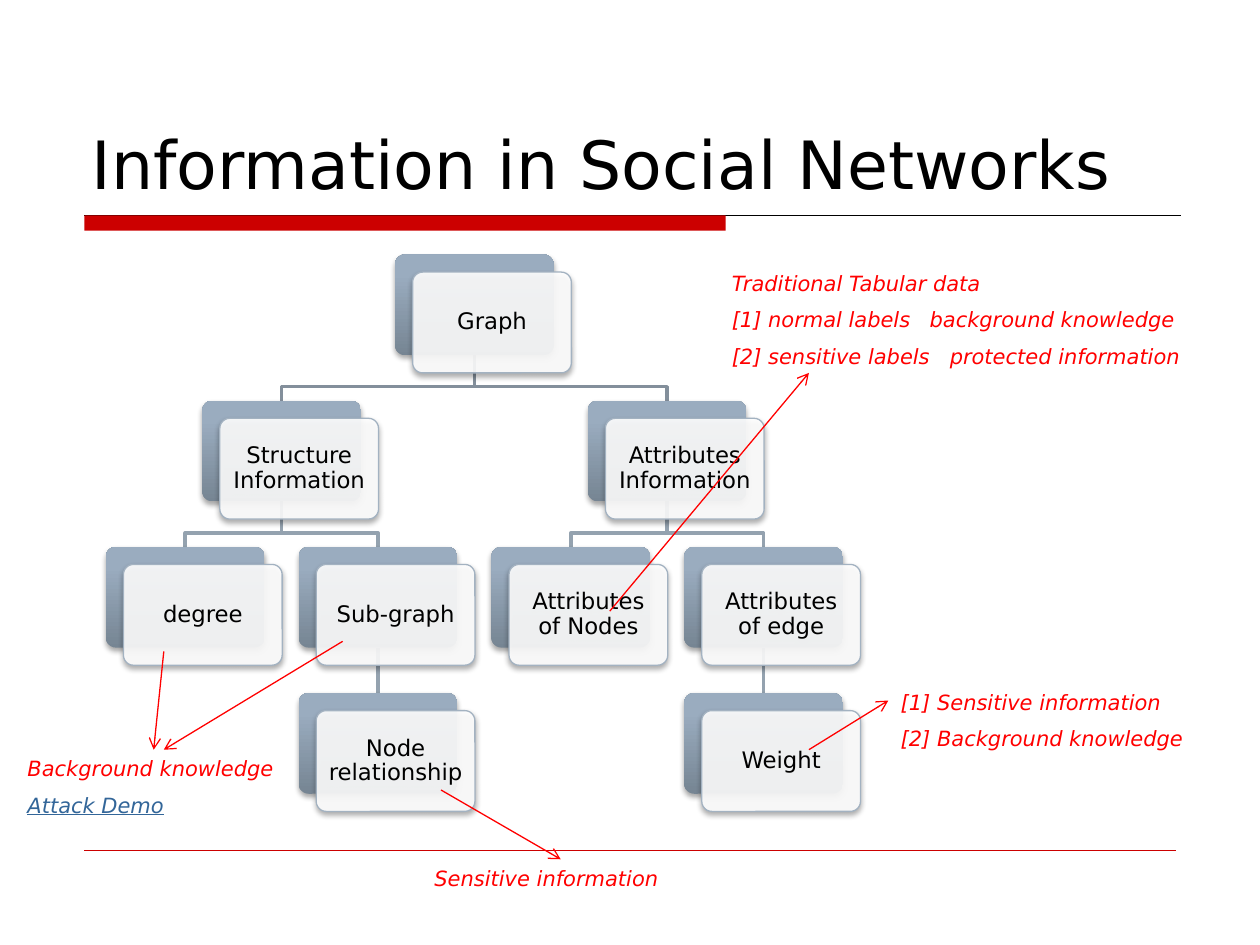
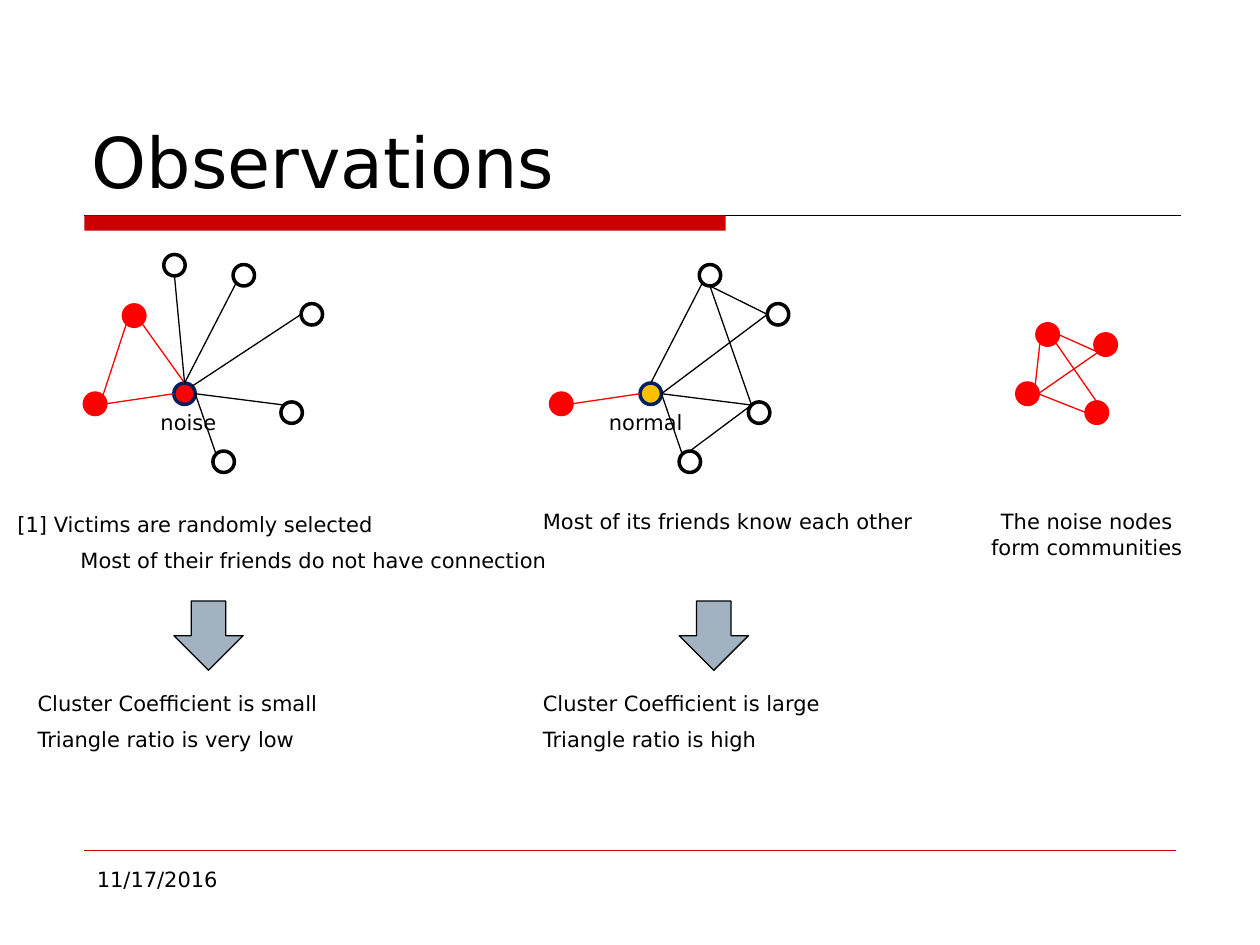
from lxml import etree
from pptx import Presentation
from pptx.dml.color import RGBColor
from pptx.enum.shapes import MSO_CONNECTOR, MSO_SHAPE
from pptx.enum.text import MSO_ANCHOR, PP_ALIGN
from pptx.oxml.ns import qn
from pptx.util import Inches, Pt

STRAIGHT = MSO_CONNECTOR.STRAIGHT
RECTANGLE = MSO_SHAPE.RECTANGLE
ROUNDED = MSO_SHAPE.ROUNDED_RECTANGLE
OVAL = MSO_SHAPE.OVAL
DOWN_ARROW = MSO_SHAPE.DOWN_ARROW
TOP, MIDDLE, BOTTOM = MSO_ANCHOR.TOP, MSO_ANCHOR.MIDDLE, MSO_ANCHOR.BOTTOM
LEFT, CENTER = PP_ALIGN.LEFT, PP_ALIGN.CENTER

FONT = "DejaVu Sans"
BLACK = RGBColor(0x00, 0x00, 0x00)
WHITE = RGBColor(0xFF, 0xFF, 0xFF)
RED = RGBColor(0xFF, 0x00, 0x00)
BAND_RED = RGBColor(0xCC, 0x00, 0x00)
LINK_BLUE = RGBColor(0x33, 0x66, 0x99)
NAVY = RGBColor(0x00, 0x20, 0x60)
GOLD = RGBColor(0xFF, 0xC0, 0x00)
STEEL = RGBColor(0xA3, 0xB2, 0xC1)
CARD_DARK = RGBColor(0x76, 0x85, 0x93)
CARD_LIGHT = RGBColor(0x9A, 0xAC, 0xBF)
BRANCH_TOP = RGBColor(0x83, 0x8F, 0x9B)
BRANCH_LOW = RGBColor(0x94, 0xA2, 0xAF)

TREE = {
    "Graph": (1.5, 0, None),
    "Structure Information": (0.5, 1, "Graph"),
    "degree": (0, 2, "Structure Information"),
    "Sub-graph": (1, 2, "Structure Information"),
    "Node relationship": (1, 3, "Sub-graph"),
    "Attributes Information": (2.5, 1, "Graph"),
    "Attributes of Nodes": (2, 2, "Attributes Information"),
    "Attributes of edge": (3, 2, "Attributes Information"),
    "Weight": (3, 3, "Attributes of edge"),
}
TREE_LEFT, TREE_TOP = 0.84, 2.02
COLUMN_STEP, ROW_STEP = 1.53, 1.16
CARD_WIDTH, CARD_HEIGHT, CARD_OFFSET = 1.26, 0.8, 0.14
BRANCH_DROP = 0.25

REMARKS = [
    (5.71, 2.1, 3.9, 0.91, [
        "Traditional Tabular data",
        {"text": "[1] normal labels\tbackground knowledge", "tab": 1.57},
        {"text": "[2] sensitive labels\tprotected information", "tab": 1.73},
    ]),
    (0.12, 5.95, 2.2, 0.61, [
        "Background knowledge",
        {"text": "Attack Demo", "color": LINK_BLUE, "underline": True},
    ]),
    (3.35, 6.82, 2.2, 0.3, ["Sensitive information"]),
    (7.05, 5.42, 2.52, 0.61, ["[1] Sensitive information", "[2] Background knowledge"]),
]
REMARK_ARROWS = [
    ((4.84, 4.85), (6.42, 2.96)),
    ((1.3, 5.17), (1.22, 5.95)),
    ((2.72, 5.09), (1.3, 5.95)),
    ((3.5, 6.27), (4.45, 6.82)),
    ((6.42, 5.95), (7.05, 5.56)),
]

NODE_SIZE = 0.17
NODE_STYLES = {
    "red": (RED, RED),
    "noise": (RED, NAVY),
    "normal": (GOLD, NAVY),
    "friend": (WHITE, BLACK),
}
SITES = {
    "N": (0, -1), "NE": (0.71, -0.71), "E": (1, 0), "SE": (0.71, 0.71),
    "S": (0, 1), "SW": (-0.71, 0.71), "W": (-1, 0), "NW": (-0.71, -0.71),
}
NETWORKS = [
    {
        "nodes": {
            "victim": (0.67, 3.12, "red"), "center": (1.38, 3.04, "noise"),
            "partner": (0.98, 2.42, "red"), "top": (1.85, 2.1, "friend"),
            "right": (2.39, 2.41, "friend"), "lower": (2.23, 3.19, "friend"),
            "bottom": (1.69, 3.58, "friend"), "upper": (1.3, 2.02, "friend"),
        },
        "edges": [
            ("center", "N", "partner", "SE", RED), ("partner", "SW", "victim", "NE", RED),
            ("victim", "E", "center", "W", RED), ("center", "N", "top", "SW", BLACK),
            ("center", "NE", "right", "W", BLACK), ("center", "E", "lower", "NW", BLACK),
            ("center", "E", "bottom", "NW", BLACK), ("center", "N", "upper", "S", BLACK),
        ],
    },
    {
        "nodes": {
            "victim": (4.37, 3.12, "red"), "center": (5.08, 3.04, "normal"),
            "top": (5.55, 2.1, "friend"), "right": (6.09, 2.41, "friend"),
            "lower": (5.94, 3.19, "friend"), "bottom": (5.39, 3.58, "friend"),
        },
        "edges": [
            ("victim", "E", "center", "W", RED), ("center", "N", "top", "SW", BLACK),
            ("center", "E", "right", "W", BLACK), ("center", "E", "lower", "NW", BLACK),
            ("center", "E", "bottom", "NW", BLACK), ("right", "W", "top", "S", BLACK),
            ("bottom", "N", "lower", "NW", BLACK), ("lower", "NW", "top", "S", BLACK),
        ],
    },
    {
        "nodes": {
            "left": (8.07, 3.04, "red"), "lower": (8.62, 3.19, "red"),
            "upper": (8.23, 2.57, "red"), "right": (8.69, 2.65, "red"),
        },
        "edges": [
            ("lower", "N", "upper", "SE", RED), ("upper", "SW", "left", "NE", RED),
            ("left", "E", "lower", "W", RED), ("right", "SW", "upper", "E", RED),
            ("right", "SW", "left", "E", RED),
        ],
    },
]
OBSERVATIONS = [
    (1.14, 3.2, 0.71, 0.3, CENTER, ["noise"]),
    (4.69, 3.2, 0.87, 0.3, CENTER, ["normal"]),
    (0.04, 4.01, 4.49, 0.61, LEFT, [
        "[1] Victims are randomly selected",
        {"text": "Most of their friends do not have connection", "indent": 0.5},
    ]),
    (4.21, 3.99, 4.49, 0.3, LEFT, ["Most of its friends know each other"]),
    (7.68, 3.99, 1.89, 0.5, CENTER, ["The noise nodes form communities"]),
    (0.2, 5.43, 4.49, 0.61, LEFT, ["Cluster Coefficient is small", "Triangle ratio is very low"]),
    (4.21, 5.43, 4.49, 0.61, LEFT, ["Cluster Coefficient is large", "Triangle ratio is high"]),
    (0.67, 6.83, 2.17, 0.52, LEFT, ["11/17/2016"]),
]
CONCLUSION_ARROWS = [(1.38, 4.77), (5.39, 4.77)]


def inches(*values):
    return [Inches(value) for value in values]


def style_font(font, size, color, italic=False, underline=False):
    font.name = FONT
    font.size = Pt(size)
    font.color.rgb = color
    font.italic = italic
    font.underline = underline


def add_text(slide, box, lines, size=12, color=BLACK, italic=False, align=LEFT, anchor=TOP):
    frame = slide.shapes.add_textbox(*inches(*box)).text_frame
    frame.word_wrap = True
    frame.vertical_anchor = anchor
    for index, line in enumerate(lines):
        options = line if isinstance(line, dict) else {"text": line}
        paragraph = frame.add_paragraph() if index else frame.paragraphs[0]
        paragraph.text = options["text"]
        paragraph.alignment = align
        if index:
            paragraph.space_before = Pt(6.3)
        properties = paragraph._p.get_or_add_pPr()
        if "indent" in options:
            properties.set("marL", str(Inches(options["indent"])))
        if "tab" in options:
            stops = etree.SubElement(properties, qn("a:tabLst"))
            etree.SubElement(stops, qn("a:tab"), pos=str(Inches(options["tab"])), algn="l")
        style_font(paragraph.font, size, options.get("color", color), italic,
                   options.get("underline", False))


def add_line(slide, start, end, color, width=0.75, arrow=False):
    connector = slide.shapes.add_connector(STRAIGHT, *inches(*start, *end))
    connector.line.color.rgb = color
    connector.line.width = Pt(width)
    etree.SubElement(connector._element.spPr, qn("a:effectLst"))
    if arrow:
        etree.SubElement(connector.line._get_or_add_ln(), qn("a:tailEnd"), type="arrow")


def add_shape(slide, kind, box, fill=None, line=None, width=0.75):
    shape = slide.shapes.add_shape(kind, *inches(*box))
    shape.shadow.inherit = False
    if fill is not None:
        shape.fill.solid()
        shape.fill.fore_color.rgb = fill
    if line is None:
        shape.line.fill.background()
    else:
        shape.line.color.rgb = line
        shape.line.width = Pt(width)
    return shape


def start_slide(presentation, title, title_size):
    slide = presentation.slides.add_slide(presentation.slide_layouts[6])
    add_line(slide, (0.67, 1.71), (9.37, 1.71), BLACK)
    add_shape(slide, RECTANGLE, (0.67, 1.71, 5.09, 0.12), BAND_RED)
    add_line(slide, (0.67, 6.75), (9.33, 6.75), BAND_RED, 0.25)
    add_text(slide, (0.63, 0.33, 8.75, 1.33), [title], title_size, anchor=BOTTOM)
    return slide


def card_corner(name):
    column, row, _ = TREE[name]
    return TREE_LEFT + column * COLUMN_STEP, TREE_TOP + row * ROW_STEP


def add_branch(slide, parent, child):
    parent_left, parent_top = card_corner(parent)
    child_left, child_top = card_corner(child)
    start_x, end_x = parent_left + CARD_WIDTH / 2, child_left + CARD_WIDTH / 2
    start_y = parent_top + CARD_HEIGHT
    color = BRANCH_LOW if TREE[parent][2] else BRANCH_TOP
    if TREE[parent][0] == TREE[child][0]:
        add_line(slide, (start_x, start_y), (end_x, child_top), color, 2)
        return
    bend_y = start_y + BRANCH_DROP
    builder = slide.shapes.build_freeform(*inches(start_x, start_y))
    corners = [(start_x, bend_y), (end_x, bend_y), (end_x, child_top)]
    builder.add_line_segments([inches(*corner) for corner in corners], close=False)
    branch = builder.convert_to_shape()
    branch.shadow.inherit = False
    branch.fill.background()
    branch.line.color.rgb = color
    branch.line.width = Pt(2)


def soften_card(card):
    card.adjustments[0] = 0.1
    effects = card._element.spPr.find(qn("a:effectLst"))
    shadow = etree.SubElement(effects, qn("a:outerShdw"), blurRad="40000", dist="23000",
                              dir="5400000", rotWithShape="0")
    color = etree.SubElement(shadow, qn("a:srgbClr"), val="000000")
    etree.SubElement(color, qn("a:alpha"), val="35000")


def add_card(slide, name):
    left, top = card_corner(name)
    back = add_shape(slide, ROUNDED, (left, top, CARD_WIDTH, CARD_HEIGHT))
    back.fill.gradient()
    back.fill.gradient_angle = 90
    stops = zip(back.fill.gradient_stops, (0, 0.8), (CARD_DARK, CARD_LIGHT))
    for stop, position, color in stops:
        stop.position = position
        stop.color.rgb = color
    soften_card(back)

    box = (left + CARD_OFFSET, top + CARD_OFFSET, CARD_WIDTH, CARD_HEIGHT)
    front = add_shape(slide, ROUNDED, box, WHITE, STEEL)
    white = front._element.spPr.find(qn("a:solidFill")).find(qn("a:srgbClr"))
    etree.SubElement(white, qn("a:alpha"), val="90000")
    soften_card(front)
    frame = front.text_frame
    frame.word_wrap = True
    frame.vertical_anchor = MIDDLE
    frame.margin_left = frame.margin_right = Inches(0.06)
    paragraph = frame.paragraphs[0]
    paragraph.text = name
    paragraph.alignment = CENTER
    paragraph.line_spacing = 0.9
    style_font(paragraph.font, 13, BLACK)


def node_site(node, site):
    radius = NODE_SIZE / 2
    return [corner + radius * (1 + shift) for corner, shift in zip(node[:2], SITES[site])]


def add_network(slide, nodes, edges):
    for left, top, style in nodes.values():
        add_shape(slide, OVAL, (left, top, NODE_SIZE, NODE_SIZE), *NODE_STYLES[style], 2)
    for start, start_site, end, end_site, color in edges:
        add_line(slide, node_site(nodes[start], start_site), node_site(nodes[end], end_site), color)


def build_information(presentation):
    slide = start_slide(presentation, "Information in Social Networks", 38)
    for name, (_, _, parent) in TREE.items():
        if parent:
            add_branch(slide, parent, name)
    for name in TREE:
        add_card(slide, name)
    for start, end in REMARK_ARROWS:
        add_line(slide, start, end, RED, arrow=True)
    for *box, lines in REMARKS:
        add_text(slide, box, lines, color=RED, italic=True)


def build_observations(presentation):
    slide = start_slide(presentation, "Observations", 40)
    for network in NETWORKS:
        add_network(slide, network["nodes"], network["edges"])
    for left, top in CONCLUSION_ARROWS:
        add_shape(slide, DOWN_ARROW, (left, top, 0.55, 0.55), STEEL, BLACK)
    for *box, align, lines in OBSERVATIONS:
        add_text(slide, box, lines, align=align)


def main():
    presentation = Presentation()
    presentation.slide_width, presentation.slide_height = inches(10, 7.5)
    build_information(presentation)
    build_observations(presentation)
    presentation.save("out.pptx")


if __name__ == "__main__":
    main()
